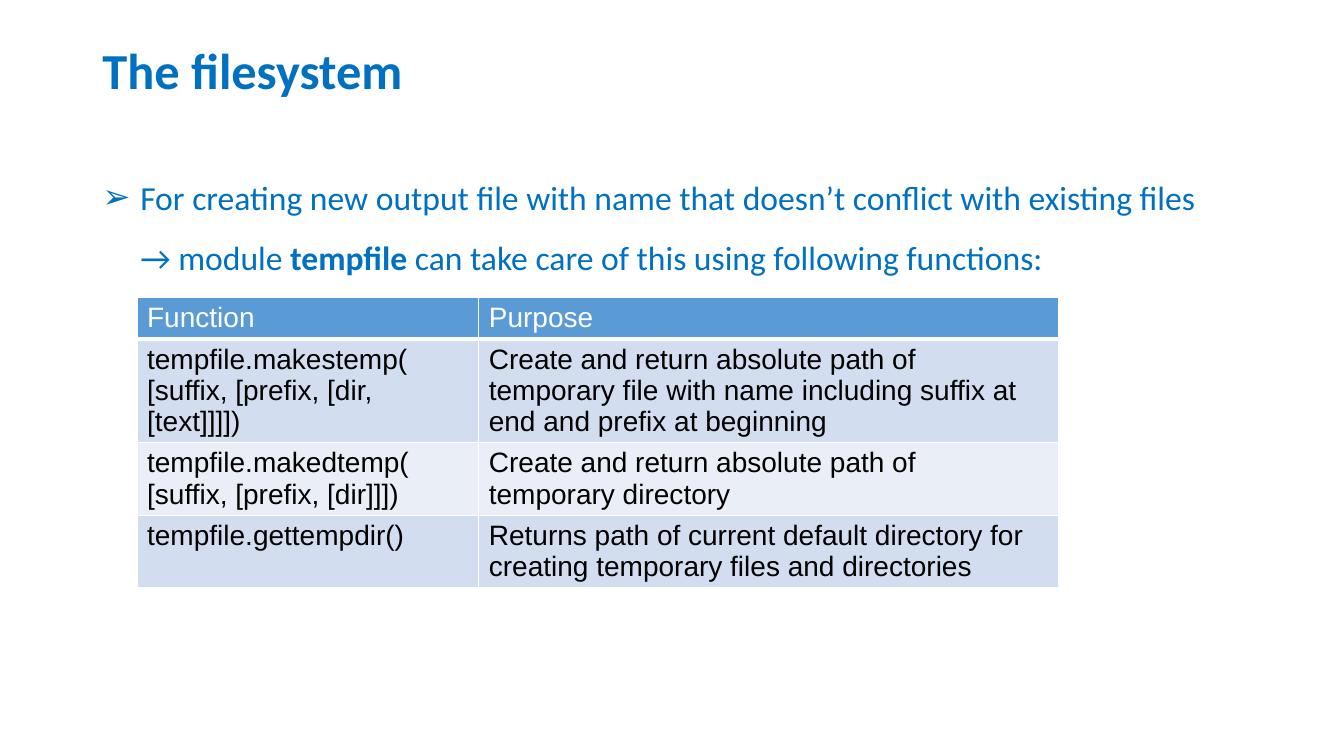
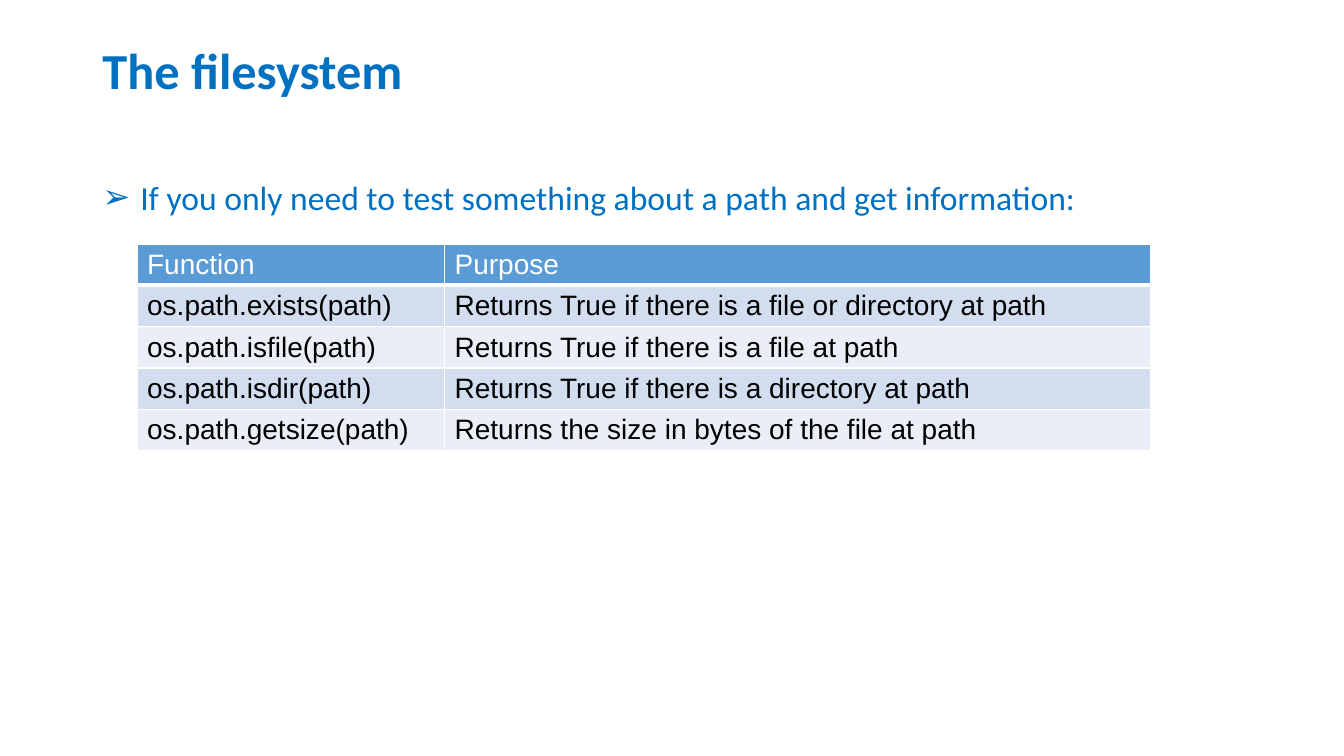
from lxml.etree import SubElement as Sub
from pptx import Presentation
from pptx.dml.color import RGBColor as RGB
from pptx.enum.text import MSO_ANCHOR as Anchor, MSO_AUTO_SIZE as Fit, PP_ALIGN as Align
from pptx.oxml.ns import qn
from pptx.util import Inches, Pt

# Shared style: the grid has 160 columns and 90 rows
COLS, ROWS = 160, 90
CELL = Inches(1) / 12
HUES = {"blue": "0070C0", "head": "5B9BD5", "odd": "D2DEEF",
        "even": "EAEFF7", "white": "FFFFFF", "black": "000000"}
LEFT, WIDE = 11, 138
INDENT = 4.5
ROW = 4.92


def hue(name):
    return RGB.from_string(HUES[name])


def grid(*units):
    return [round(unit * CELL) for unit in units]


def write(para, text, size=20, font="Arial", color="black", bold=False):
    """Add text to a paragraph, turning each newline into a line break."""
    for i, line in enumerate(text.split("\n")):
        if i:
            para.add_line_break()
        run = para.add_run()
        run.text = line
        face = run.font
        face.size, face.name, face.bold = Pt(size), font, bold
        face.color.rgb = hue(color)


def border(cell, base):
    """Draw white edges, with the given width at the bottom."""
    props = cell._tc.get_or_add_tcPr()
    for side, width in zip("LRTB", (1, 1, 1, base)):
        line = Sub(props, qn(f"a:ln{side}"), w=str(Pt(width)))
        fill = Sub(line, qn("a:solidFill"))
        Sub(fill, qn("a:srgbClr"), val=HUES["white"])


class Deck:
    def __init__(self):
        self.file = Presentation()
        self.file.slide_width, self.file.slide_height = grid(COLS, ROWS)
        self.slide = None

    def place(self, shape, top, high):
        shape.left, shape.top, shape.width, shape.height = grid(LEFT, top, WIDE, high)
        frame = shape.text_frame
        frame.word_wrap, frame.auto_size = True, Fit.NONE
        return frame

    def title(self, text):
        self.slide = self.file.slides.add_slide(self.file.slide_layouts[1])
        frame = self.place(self.slide.shapes.title, 0, 17.4)
        frame.vertical_anchor = Anchor.MIDDLE
        para = frame.paragraphs[0]
        para.alignment, para.line_spacing = Align.LEFT, 0.9
        write(para, text, size=36, font="Calibri", color="blue", bold=True)

    def point(self, *parts):
        """Fill the body with one bullet; every second part is bold."""
        frame = self.place(self.slide.placeholders[1], 18, 57.12)
        para = frame.paragraphs[0]
        para.line_spacing, para.space_before = 1.5, Pt(4.8)
        props = para._p.get_or_add_pPr()
        step = grid(INDENT)[0]
        props.set("marL", str(step))
        props.set("indent", str(-step))
        Sub(props, qn("a:buFont"), typeface="Arial")
        Sub(props, qn("a:buChar"), char="➢")
        for i, part in enumerate(parts):
            write(para, part, size=24, font="Calibri", color="blue", bold=i % 2 == 1)

    def table(self, top, widths, rows):
        rows = [("Function", "Purpose"), *rows]
        box = grid(16.32, top, sum(widths), ROW * len(rows))
        table = self.slide.shapes.add_table(len(rows), len(widths), *box).table
        table.first_row = table.horz_banding = False
        for col, width in zip(table.columns, grid(*widths)):
            col.width = width
        for r, row in enumerate(rows):
            table.rows[r].height = grid(ROW)[0]
            band = "head" if r == 0 else ("even", "odd")[r % 2]
            for c, text in enumerate(row):
                self.cell(table.cell(r, c), text, band)

    def cell(self, cell, text, band):
        head = band == "head"
        border(cell, 3 if head else 1)
        cell.fill.solid()
        cell.fill.fore_color.rgb = hue(band)
        frame = cell.text_frame
        for i, line in enumerate(text.split("\n")):
            para = frame.add_paragraph() if i else frame.paragraphs[0]
            write(para, line, color="white" if head else "black")


def main():
    deck = Deck()

    # Temporary files
    deck.title("The filesystem")
    deck.point("For creating new output file with name that doesn’t conflict "
               "with existing files \n→ module ",
               "tempfile",
               " can take care of this using following functions:")
    deck.table(35.4, (40.68, 69), [
        ("tempfile.makestemp(\n[suffix, [prefix, [dir, [text]]]])",
         "Create and return absolute path of temporary file with name "
         "including suffix at end and prefix at beginning"),
        ("tempfile.makedtemp(\n[suffix, [prefix, [dir]]])",
         "Create and return absolute path of temporary directory"),
        ("tempfile.gettempdir()",
         "Returns path of current default directory for creating "
         "temporary files and directories"),
    ])

    # Path tests
    deck.title("The filesystem")
    deck.point("If you only need to test something about a path and get information:")
    deck.table(29.04, (36.6, 84), [
        ("os.path.exists(path)", "Returns True if there is a file or directory at path"),
        ("os.path.isfile(path)", "Returns True if there is a file at path"),
        ("os.path.isdir(path)", "Returns True if there is a directory at path"),
        ("os.path.getsize(path)", "Returns the size in bytes of the file at path"),
    ])

    deck.file.save("out.pptx")


if __name__ == "__main__":
    main()
